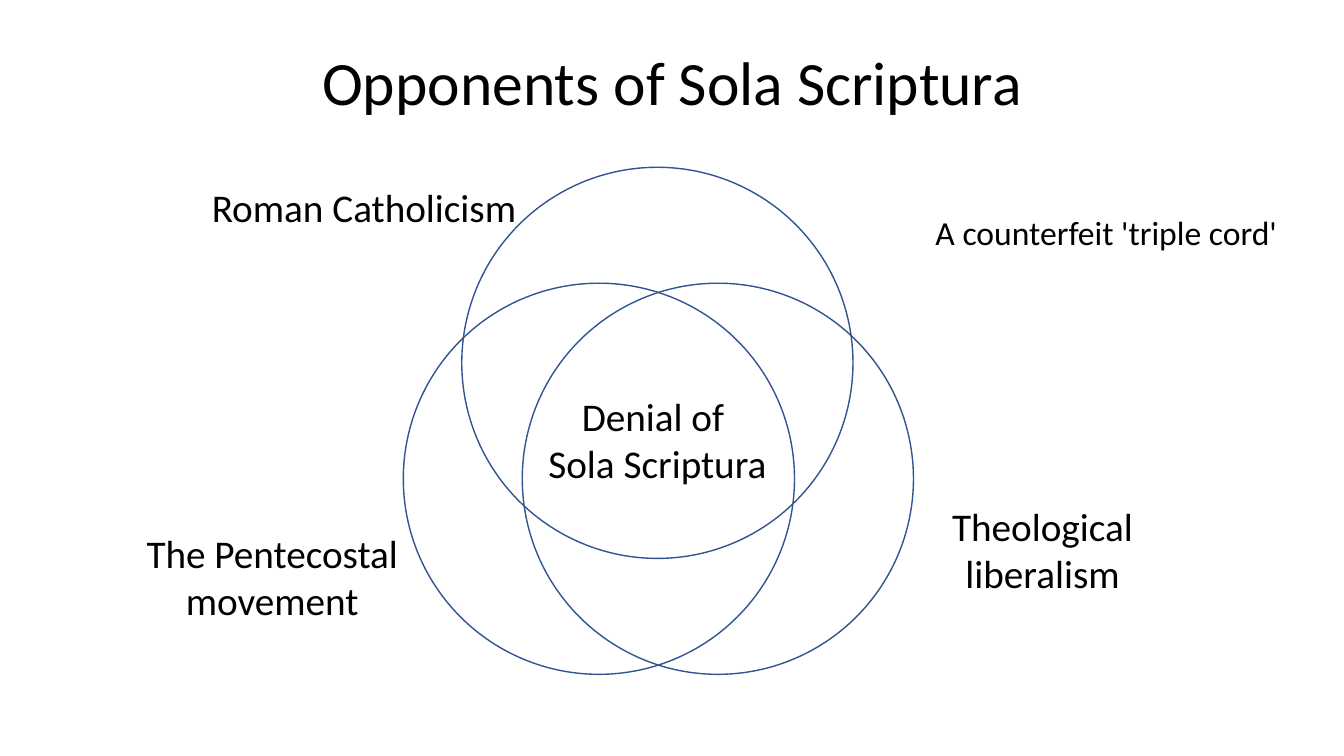
from pptx import Presentation
from pptx.dml.color import RGBColor
from pptx.enum.shapes import MSO_SHAPE as Shape
from pptx.enum.text import MSO_ANCHOR as Anchor, PP_ALIGN as Align
from pptx.util import Pt

PX = 9144  # EMU per px, 100 px to the inch
BLACK = "000000"
CIRCLE_BLUE = "325491"


def px(*lengths):
    return [length * PX for length in lengths]


def color(hex_string):
    return RGBColor.from_string(hex_string)


def add_text(slide, box, *lines, size=28, align=Align.CENTER,
             anchor=Anchor.TOP, spacing=None):
    frame = slide.shapes.add_textbox(*px(*box)).text_frame
    frame.word_wrap = True
    frame.vertical_anchor = anchor
    for index, line in enumerate(lines):
        paragraph = frame.add_paragraph() if index else frame.paragraphs[0]
        paragraph.alignment = align
        paragraph.line_spacing = spacing
        run = paragraph.add_run()
        run.text = line
        run.font.size = Pt(size)
        run.font.name = "Calibri"
        run.font.color.rgb = color(BLACK)


def add_circle(slide, left, top, diameter):
    circle = slide.shapes.add_shape(
        Shape.OVAL, *px(left, top, diameter, diameter))
    circle.shadow.inherit = False
    circle.fill.background()
    circle.line.color.rgb = color(CIRCLE_BLUE)
    circle.line.width = Pt(1)


def add_title(slide, box):
    add_text(slide, box, "Opponents of Sola Scriptura",
             size=44, anchor=Anchor.MIDDLE, spacing=0.9)


def add_venn(slide, box):
    left, top, width, height = box
    diameter = 388
    # Lower left, lower right and top circles
    for dx, dy in ((0, height - diameter),
                   (width - diameter, height - diameter),
                   (58, 0)):
        add_circle(slide, left + dx, top + dy, diameter)
    # Shared centre
    add_text(slide, (left + 102, top + 218, 300, 104),
             "Denial of ", "Sola Scriptura")
    # Name beside each circle
    for name, dx, dy, label_width, label_height in (
            ("Roman Catholicism", -234, 11, 390, 57),
            ("Theological liberalism", 484, 327, 300, 104),
            ("The Pentecostal movement", -280, 354, 300, 104)):
        add_text(slide, (left + dx, top + dy, label_width, label_height), name)


def add_remark(slide, box):
    add_text(slide, box, "A counterfeit 'triple cord'",
             size=24, align=Align.LEFT)


def main():
    deck = Presentation()
    deck.slide_width, deck.slide_height = px(1333, 750)
    slide = deck.slides.add_slide(deck.slide_layouts[6])
    add_title(slide, (92, 40, 1150, 90))
    add_venn(slide, (400, 166, 506, 503))
    add_remark(slide, (918, 205, 382, 50))
    deck.save("out.pptx")


if __name__ == "__main__":
    main()
